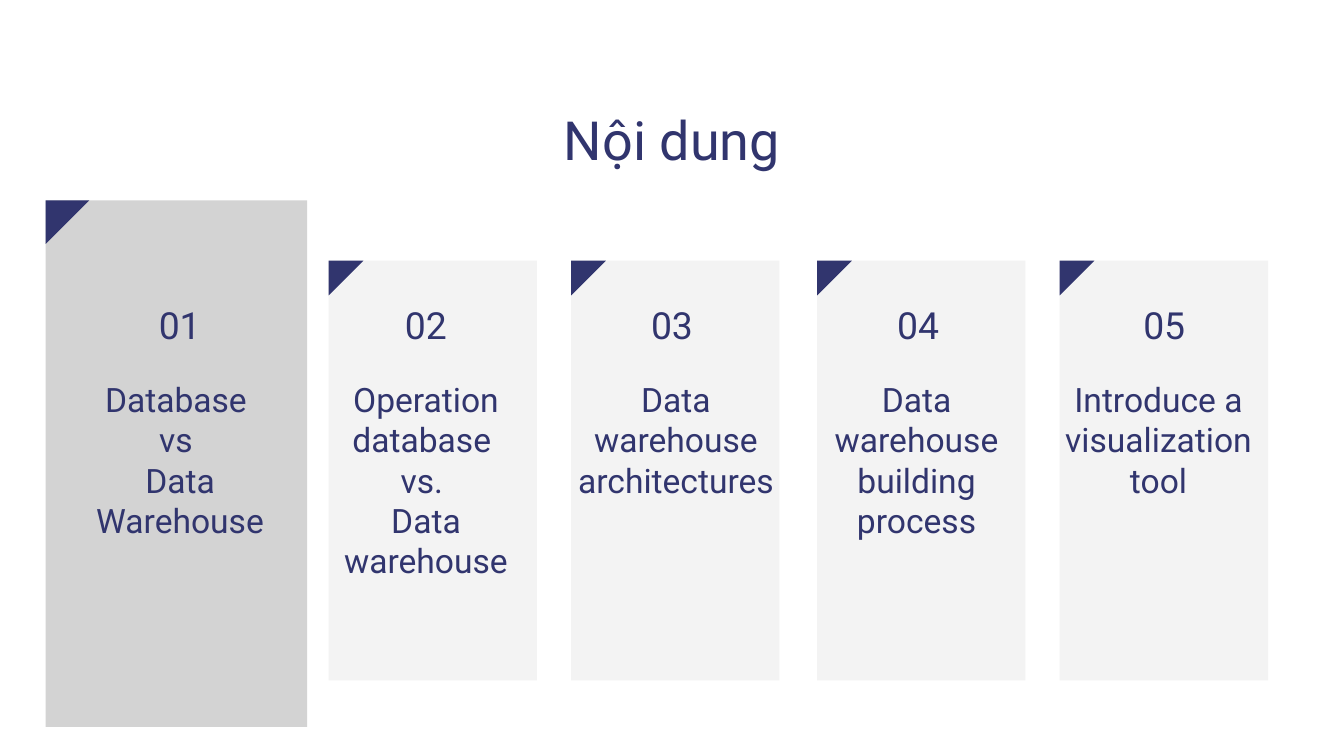
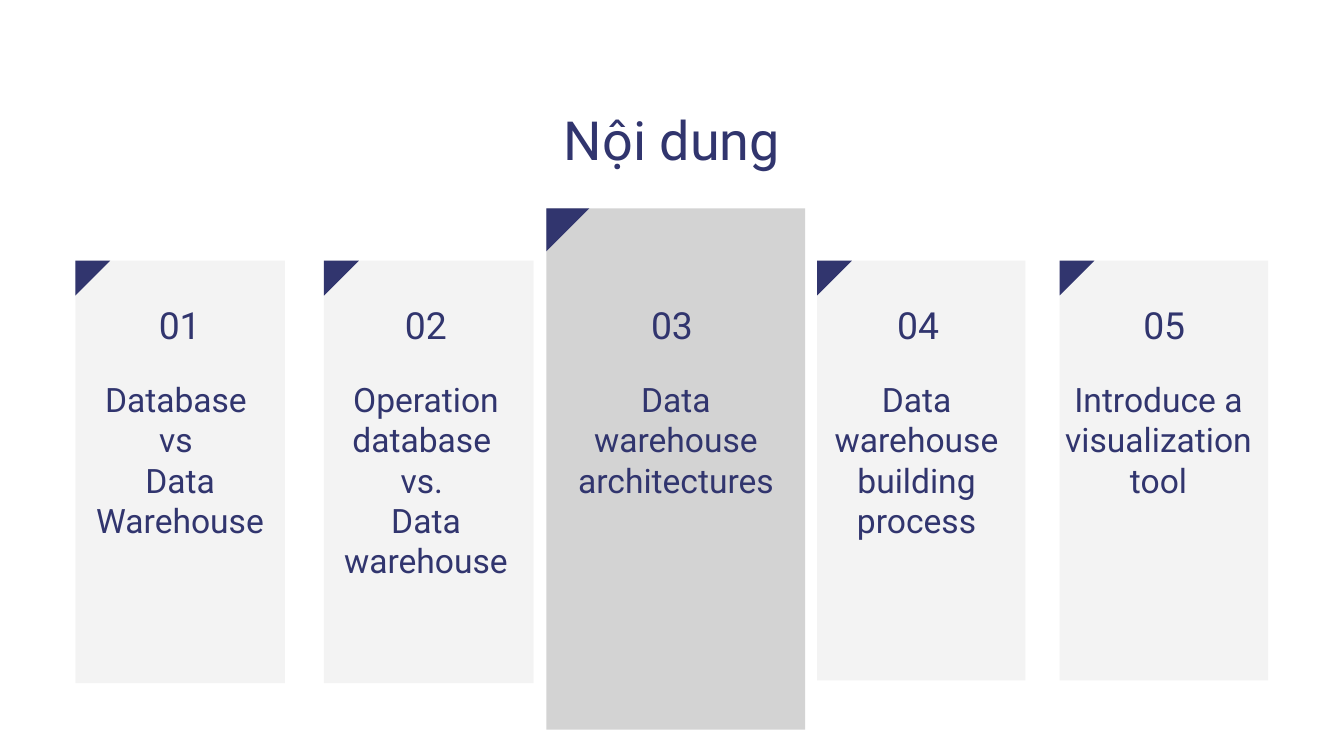
"""Build two agenda slides, each with one topic card raised."""
from typing import NamedTuple

from lxml.etree import SubElement
from pptx import Presentation
from pptx.dml.color import RGBColor
from pptx.enum.shapes import MSO_SHAPE as Kind
from pptx.enum.text import MSO_AUTO_SIZE as Fit, PP_ALIGN as Align
from pptx.oxml.ns import qn
from pptx.util import Inches, Pt

WIDE, HIGH = Inches(20), Inches(11.25)
COLS, ROWS = 20, 11.25
NAVY, DARK = "31356E", "242424"
FONT = "Roboto"
TALL = 2.015
FOLD = 1 / 6
PITCH = 3.6625


class Card(NamedTuple):
    left: float
    top: float = 3.88
    width: float = 3.1
    tint: int = 5


class Topic(NamedTuple):
    left: float
    width: float
    rows: int
    lines: tuple[str, ...]


TOPICS = (
    Topic(1.12, 3.12, 4, ("Database ", "vs ", "Data Warehouse")),
    Topic(4.79, 3.1, 5, ("Operation database ", "vs. ", "Data warehouse")),
    Topic(8.51, 3.1, 3, ("Data warehouse architectures",)),
    Topic(12.06, 3.16, 4, ("Data warehouse building process",)),
    Topic(15.78, 2.92, 3, ("Introduce a visualization tool",)),
)
LAST = (Card(12.16), Card(15.77))
DECKS = (
    (Card(0.68, 2.98, 3.89, 20), Card(4.89), Card(8.5), *LAST),
    (Card(1.12, width=3.12), Card(4.82, width=3.12),
     Card(8.13, 3.1, 3.85, 20), *LAST),
)


def col(num: float) -> int:
    """Turn grid columns into a length."""
    return round(WIDE * num / COLS)


def row(num: float) -> int:
    """Turn grid rows into a length."""
    return round(HIGH * num / ROWS)


def paint(shape, tone: str, alpha: int = 100) -> None:
    """Give a shape a flat fill with no line or shadow."""
    shape.shadow.inherit = False
    shape.line.fill.background()
    shape.fill.solid()
    shape.fill.fore_color.rgb = RGBColor.from_string(tone)
    if alpha < 100:
        clr = shape.element.spPr.find(qn("a:solidFill"))[0]
        SubElement(clr, qn("a:alpha"), val=str(alpha * 1000))


def add_card(slide, card: Card) -> None:
    """Draw a tinted card with a folded corner."""
    group = slide.shapes.add_group_shape().shapes
    left, top = col(card.left), row(card.top)
    panel = group.add_shape(Kind.RECTANGLE, left, top,
                            col(card.width), row(card.width * TALL))
    paint(panel, DARK, card.tint)
    side = col(card.width * FOLD)
    pen = group.build_freeform(left, top + side)
    pen.add_line_segments([(left, top), (left + side, top)], close=True)
    paint(pen.convert_to_shape(), NAVY)


def add_text(slide, left: float, top: float, width: float, height: float,
             lines: tuple[str, ...], size: float) -> None:
    """Write centred lines in a box without margins."""
    box = slide.shapes.add_textbox(col(left), row(top), col(width), row(height))
    frame = box.text_frame
    frame.word_wrap = True
    frame.auto_size = Fit.SHAPE_TO_FIT_TEXT
    frame.margin_left = frame.margin_right = 0
    frame.margin_top = frame.margin_bottom = 0
    for num, line in enumerate(lines):
        para = frame.add_paragraph() if num else frame.paragraphs[0]
        para.alignment = Align.CENTER
        para.line_spacing = Pt(round(size * 1.2, 1))
        run = para.add_run()
        run.text = line
        run.font.name = FONT
        run.font.size = Pt(size)
        run.font.color.rgb = RGBColor.from_string(NAVY)


def add_page(deck, cards: tuple[Card, ...]) -> None:
    """Add one agenda slide."""
    slide = deck.slides.add_slide(deck.slide_layouts[6])
    for card in cards:
        add_card(slide, card)
    add_text(slide, 2.64, 1.58, 14.72, 0.96, ("Nội dung",), 57.8)
    for num, topic in enumerate(TOPICS):
        add_text(slide, 1.43 + num * PITCH, 4.49, 2.49, 0.66,
                 (f"{num + 1:02}",), 40)
        add_text(slide, topic.left, 5.64, topic.width, topic.rows * 0.59,
                 topic.lines, 36)


def main() -> None:
    """Build and save the deck."""
    deck = Presentation()
    deck.slide_width, deck.slide_height = WIDE, HIGH
    for cards in DECKS:
        add_page(deck, cards)
    deck.save("out.pptx")


if __name__ == "__main__":
    main()
